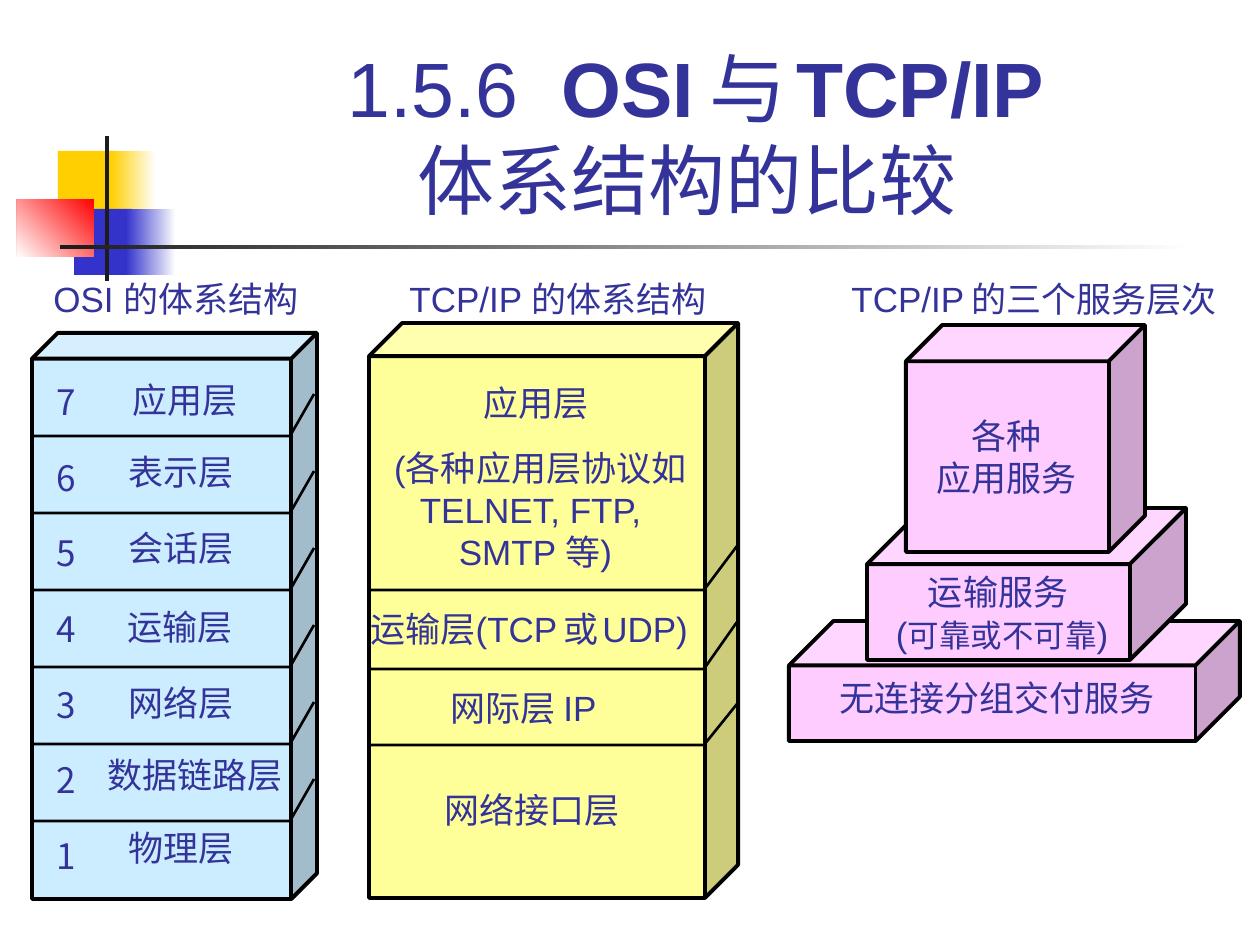
from pptx import Presentation
from pptx import util as u
from pptx.dml.color import RGBColor
from pptx.enum import shapes, text

SCALE = u.Inches(1) / 126  # EMU in one px
INK = RGBColor(0x33, 0x33, 0x99)
BLACK = RGBColor(0, 0, 0)
WHITE = RGBColor(255, 255, 255)
DARK = RGBColor(0x1C, 0x1C, 0x1C)
GOLD = RGBColor(0xFF, 0xCF, 0x01)
BLUE = RGBColor(0x33, 0x33, 0xCC)
RED = RGBColor(255, 0, 0)
SKY = RGBColor(0xCC, 0xEC, 0xFF)
YELLOW = RGBColor(0xFF, 0xFF, 0x99)
PINK = RGBColor(0xFF, 0xCC, 0xFF)
SANS, SERIF, CJK = "Arial", "Times New Roman", "Noto Sans CJK SC"
CENTER = text.PP_ALIGN.CENTER
LINE_HEIGHT = 55
BREAK = ("", None)  # line break inside a paragraph


def px(*lengths):
    return [round(length * SCALE) for length in lengths]


def write(frame, lines, font=SANS, align=None, size=20, spacing=None):
    """Each line is a string or a list of (words, font overrides)."""
    frame.word_wrap = True
    frame.auto_size = text.MSO_AUTO_SIZE.NONE
    # Spare width keeps every label on its line
    frame.margin_right = 0
    if align == CENTER:
        frame.margin_left = 0
    for index, line in enumerate(lines):
        para = frame.add_paragraph() if index else frame.paragraphs[0]
        para.alignment = align
        para.line_spacing = spacing
        para.font.name, para.font.size = font, u.Pt(size)
        para.font.color.rgb = INK
        for words, changes in [(line, {})] if isinstance(line, str) else line:
            if changes is None:
                para.add_line_break()
                continue
            span = para.add_run()
            span.text = words
            # Runs carry the font too, so that mixed lines keep their sizes
            span.font.name = changes.get("name", font)
            span.font.size = u.Pt(changes.get("size", size))
            span.font.bold = changes.get("bold")
            span.font.color.rgb = INK


def add_text(page, left, top, width, height, lines, **style):
    box = page.shapes.add_textbox(*px(left, top, width, height))
    write(box.text_frame, lines, **style)
    return box


def add_block(page, box, color, kind=shapes.MSO_SHAPE.RECTANGLE):
    block = page.shapes.add_shape(kind, *px(*box))
    block.shadow.inherit = False
    block.fill.solid()
    block.fill.fore_color.rgb = color
    block.line.fill.background()
    return block


def add_fade(page, box, start, end, angle=180):
    block = add_block(page, box, start)
    block.fill.gradient()
    block.fill.gradient_angle = angle
    for stop, color in zip(block.fill.gradient_stops, (start, end)):
        stop.color.rgb = color


def add_cube(page, box, color, depth):
    cube = add_block(page, box, color, shapes.MSO_SHAPE.CUBE)
    cube.adjustments[0] = depth
    cube.line.color.rgb = BLACK
    cube.line.width = u.Pt(2.25)


def add_layer_edge(page, left, front, right, back_y, front_y):
    """Line between two layers, along the side and front of a cube."""
    builder = page.shapes.build_freeform(right, back_y, scale=SCALE)
    builder.add_line_segments([(front, front_y), (left, front_y)], close=False)
    edge = builder.convert_to_shape()
    edge.shadow.inherit = False
    edge.fill.background()
    edge.line.color.rgb = BLACK
    edge.line.width = u.Pt(1.5)


def draw_ornament(page, left, top):
    add_block(page, (left + 41, top + 15, 60, 66), GOLD)
    add_fade(page, (left + 94, top + 15, 45, 66), WHITE, GOLD)
    add_block(page, (left + 57, top + 73, 58, 66), BLUE)
    add_fade(page, (left + 109, top + 73, 50, 66), WHITE, BLUE)
    add_fade(page, (left, top + 63, 77, 58), RED, WHITE, angle=225)
    add_block(page, (left + 88, top, 4, 145), DARK)
    add_fade(page, (left + 43, top + 109, 1134, 4), WHITE, DARK)


def draw_title(page, box):
    bold, plain = {"bold": True}, {"bold": False}
    title = add_text(page, *box, [[
        ("1.5.6  ", {}), ("OSI", bold), (" ", {"bold": True, "size": 32}),
        ("与", plain), (" ", {"size": 24}), ("TCP/IP", bold), BREAK,
        ("体系结构的比较 ", plain)]], align=CENTER, size=44)
    title.text_frame.vertical_anchor = text.MSO_ANCHOR.BOTTOM


def draw_osi(page, box):
    left, top, width, height = box
    add_cube(page, box, SKY, 0.09)
    for row in range(6):
        y = top + 61 + 77 * row
        add_layer_edge(page, left, left + 258, left + width - 3, y, y + 42)
    layers = [("应用层", 88, 39), ("表示层", 84, 111), ("会话层", 84, 187),
              ("运输层", 83, 266), ("网络层", 84, 342),
              ("数据链路层", 63, 414), ("物理层", 84, 487)]
    for name, x, y in layers:
        add_text(page, left + x, top + y, 25 + 35 * len(name), LINE_HEIGHT,
                 [name], font=SERIF)
    add_text(page, left + 12, top + 8, 45, 542, list("7654321"),
             font=CJK, spacing=1.8)
    add_text(page, left + 9, top - 62, 278, LINE_HEIGHT, ["OSI 的体系结构"])


def draw_tcp_ip(page, box):
    left, top, width, height = box
    add_cube(page, box, YELLOW, 0.09)
    for back_y, front_y in ((223, 267), (299, 346), (381, 422)):
        add_layer_edge(page, left, left + 335, left + width - 1,
                       top + back_y, top + front_y)
    transport = [("运输层(TCP", {}), (" ", {"size": 12}), ("或", {}),
                 (" ", {"size": 10}), ("UDP)", {})]
    labels = [("应用层", 102, 52, 130), ("网络接口层", 63, 459, 200),
              ("网际层 IP", 69, 357, 179), (transport, -11, 278, 360),
              ("TCP/IP 的体系结构", 28, -52, 331)]
    for line, x, y, length in labels:
        add_text(page, left + x, top + y, length, LINE_HEIGHT, [line])
    add_text(page, left - 1, top + 117, 335, 139,
             [" (各种应用层协议如", "TELNET, FTP, ", "SMTP 等)"], align=CENTER)


def draw_services(page, box):
    left, top, width, height = box
    # Two lower steps
    add_cube(page, (left, top + 296, width, 120), PINK, 0.37)
    add_cube(page, (left + 78, top + 183, 319, 152), PINK, 0.37)
    add_text(page, left + 38, top + 345, 340, LINE_HEIGHT,
             ["无连接分组交付服务"], font=SERIF)
    reliability = [("(", {}), ("可靠或不可靠", {"name": "Karla", "size": 18}),
                   (")", {})]
    add_text(page, left + 79, top + 239, 268, 97, ["运输服务 ", reliability],
             align=CENTER)
    # Top step
    add_cube(page, (left + 117, top, 239, 227), PINK, 0.16)
    label = add_block(page, (left + 135, top + 83, 165, 97), PINK)
    write(label.text_frame, ["各种", "应用服务"], font=SERIF, align=CENTER)
    caption = [("TCP/IP", {}), (" ", {"size": 14}), ("的三个服务层次", {})]
    add_text(page, left + 50, top - 54, 396, LINE_HEIGHT, [caption])


def main():
    deck = Presentation()
    deck.slide_width, deck.slide_height = px(1260, 945)
    page = deck.slides.add_slide(deck.slide_layouts[6])
    draw_ornament(page, 17, 136)
    draw_title(page, (159, 29, 1074, 202))
    draw_osi(page, (32, 333, 285, 566))
    draw_tcp_ip(page, (369, 323, 369, 575))
    draw_services(page, (789, 325, 451, 416))
    deck.save("out.pptx")


if __name__ == "__main__":
    main()
